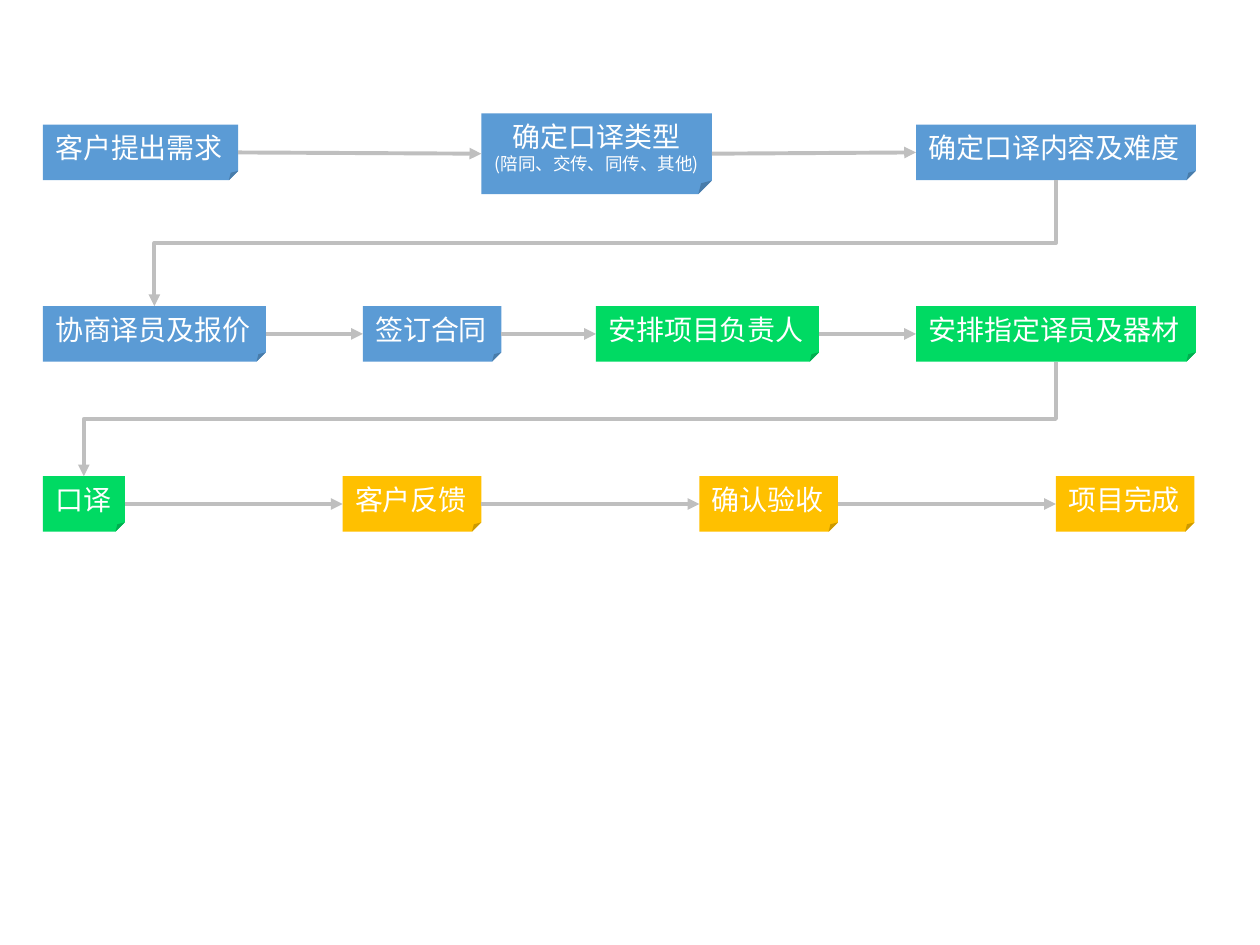
from itertools import pairwise

from lxml.etree import SubElement
from pptx import Presentation
from pptx.dml.color import RGBColor
from pptx.enum.shapes import MSO_CONNECTOR, MSO_SHAPE
from pptx.enum.text import MSO_ANCHOR, MSO_AUTO_SIZE, PP_ALIGN
from pptx.oxml.ns import qn
from pptx.util import Inches, Pt

FONT = "Noto Sans CJK SC"
HEX = {"blue": "5B9BD5", "green": "00DA63", "gold": "FFC000",
       "gray": "BFBFBF", "white": "FFFFFF"}
LEFT, HIGH = 0.34, 0.44
SITE = {"left": 1, "right": 3}
ROWS = [
    (0.99, [(LEFT, 1.55, "客户提出需求", "blue"),
            (3.82, 1.83, "确定口译类型", "blue", "(陪同、交传、同传、其他)"),
            (7.27, 2.22, "确定口译内容及难度", "blue")]),
    (2.43, [(LEFT, 1.77, "协商译员及报价", "blue"),
            (2.88, 1.1, "签订合同", "blue"),
            (4.73, 1.77, "安排项目负责人", "green"),
            (7.27, 2.22, "安排指定译员及器材", "green")]),
    (3.78, [(LEFT, 0.65, "口译", "green"),
            (2.72, 1.1, "客户反馈", "gold"),
            (5.55, 1.1, "确认验收", "gold"),
            (8.38, 1.1, "项目完成", "gold")]),
]


def tint(name):
    """Return the named colour."""
    return RGBColor.from_string(HEX[name])


def write(para, text, size=16, color="white", align=PP_ALIGN.LEFT):
    """Put formatted text in a paragraph."""
    para.alignment = align
    run = para.add_run()
    run.text = text
    run.font.size = Pt(size)
    run.font.name = FONT
    run.font.color.rgb = tint(color)
    SubElement(run.font._element, qn("a:ea"), typeface=FONT)


def card(slide, x, y, wide, high, text, color, note=None):
    """Draw one step of the flow in the given box."""
    box = slide.shapes.add_shape(MSO_SHAPE.FOLDED_CORNER, Inches(x), Inches(y),
                                 Inches(wide), Inches(high))
    box.shadow.inherit = False
    box.fill.solid()
    box.fill.fore_color.rgb = tint(color)
    box.line.fill.background()
    frame = box.text_frame
    frame.word_wrap = False
    frame.auto_size = MSO_AUTO_SIZE.SHAPE_TO_FIT_TEXT
    frame.vertical_anchor = MSO_ANCHOR.TOP
    align = PP_ALIGN.CENTER if note else PP_ALIGN.LEFT
    write(frame.paragraphs[0], text, align=align)
    if note:
        write(frame.add_paragraph(), note, size=10, align=align)
    return box


def arrow(slide, kind, x, y, right, low):
    """Draw a gray arrow between two corners."""
    link = slide.shapes.add_connector(kind, x, y, right, low)
    link.line.color.rgb = tint("gray")
    link.line.width = Pt(2.25)
    SubElement(link.line._get_or_add_ln(), qn("a:tailEnd"), type="triangle")
    SubElement(link._element.spPr, qn("a:effectLst"))
    return link


def join(slide, start, end):
    """Link two steps of the same row."""
    link = arrow(slide, MSO_CONNECTOR.STRAIGHT, 0, 0, 0, 0)
    link.begin_connect(start, SITE["right"])
    link.end_connect(end, SITE["left"])


def turn(slide, start, end):
    """Link the last step of a row down to the first of the next."""
    head = end.left + end.width // 2
    tail = start.left + start.width // 2
    base = start.top + start.height
    drop, span = end.top - base, tail - head
    x = (head + tail - drop) // 2
    y = (base + end.top - span) // 2
    link = arrow(slide, MSO_CONNECTOR.ELBOW, x, y, x + drop, y + span)
    link._element.spPr.find(qn("a:xfrm")).set("rot", "5400000")


def row(slide, top, steps):
    """Draw one row of steps with arrows between them."""
    cards = []
    for x, wide, text, color, *note in steps:
        y, high = (top - 0.09, 0.64) if note else (top, HIGH)
        cards.append(card(slide, x, y, wide, high, text, color, *note))
    for start, end in pairwise(cards):
        join(slide, start, end)
    return cards


def main():
    """Build the flow of the interpreting service."""
    deck = Presentation()
    deck.slide_width, deck.slide_height = Inches(10), Inches(7.5)
    slide = deck.slides.add_slide(deck.slide_layouts[6])
    rows = [row(slide, top, steps) for top, steps in ROWS]
    for above, below in pairwise(rows):
        turn(slide, above[-1], below[0])
    deck.save("out.pptx")


if __name__ == "__main__":
    main()
